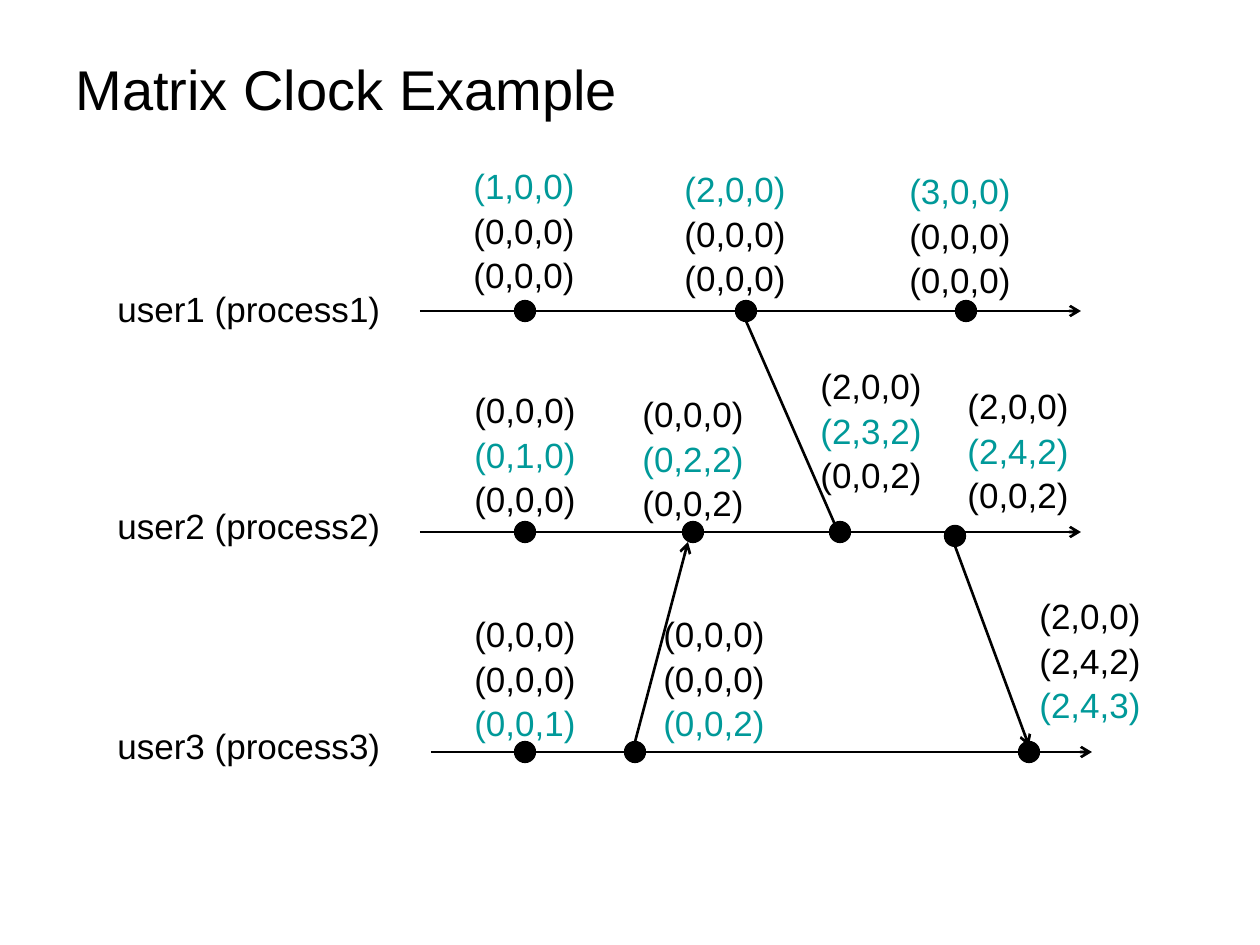
import pptx
import pptx.dml.color
import pptx.enum.shapes
import pptx.enum.text
import pptx.oxml.ns
import pptx.util
from lxml import etree

SCALE = 914400 / 126
BLACK = pptx.dml.color.RGBColor(0x00, 0x00, 0x00)
TEAL = pptx.dml.color.RGBColor(0x00, 0x99, 0x99)
MID = pptx.enum.text.MSO_ANCHOR.MIDDLE
LEFT = pptx.enum.text.PP_ALIGN.LEFT
FIXED = pptx.enum.text.MSO_AUTO_SIZE.NONE
GROW = pptx.enum.text.MSO_AUTO_SIZE.SHAPE_TO_FIT_TEXT
HEAD = {"name": "Arial", "size": pptx.util.Pt(32), "bold": False}
BODY = {"name": "Arial", "size": pptx.util.Pt(20)}
OPEN = {"word_wrap": False, "auto_size": GROW}
TIGHT = {"line_spacing": 0.75}
GAP = {"space_before": pptx.util.Pt(7.5)}
AXIS = 170
SPAN = 661
DOT = 21

LANES = [
    ("user1 (process1)", (105, 141, 1050, 181), 140, 315,
     [(420, 170), (641, 170), (861, 170)],
     [(356, 27, "(1,0,0) (0,0,0) (0,0,0)"),
      (567, 30, "(2,0,0) (0,0,0) (0,0,0)"),
      (792, 32, "(3,0,0) (0,0,0) (0,0,0)")]),
    ("user2 (process2)", (105, 362, 1050, 181), 136, 315,
     [(420, 170), (588, 170), (735, 170), (850, 174)],
     [(357, 30, "(0,0,0) (0,1,0) (0,0,0)"),
      (525, 34, "(0,0,0) (0,2,2) (0,0,2)"),
      (703, 6, "(2,0,0) (2,3,2) (0,0,2)"),
      (850, 26, "(2,0,0) (2,4,2) (0,0,2)")]),
    ("user3 (process3)", (105, 582, 1050, 181), 136, 326,
     [(420, 170), (530, 170), (924, 170)],
     [(357, 34, "(0,0,0) (0,0,0) (0,0,1)"),
      (546, 34, "(0,0,0) (0,0,0) (0,0,2)"),
      (922, 16, "(2,0,0) (2,4,2) (2,4,3)")]),
]
SENDS = [(641, 180, 735, 395), (530, 601, 583, 401), (850, 405, 924, 605)]


def emu(*vals):
    """Turn px into EMU."""
    return [round(val * SCALE) for val in vals]


def style(item, form):
    """Set every value of a format on an item."""
    for key, val in form.items():
        setattr(item, key, val)


def write(para, text, form, hue):
    """Put text with font values into a paragraph."""
    para.text = text
    style(para.font, form)
    para.font.color.rgb = hue


def title(slide, box, text):
    """Place the title in its box."""
    shape = slide.shapes.title
    style(shape, dict(zip(("left", "top", "width", "height"), emu(*box))))
    frame = shape.text_frame
    style(frame, {"vertical_anchor": MID, "word_wrap": True, "auto_size": FIXED})
    frame.paragraphs[0].alignment = LEFT
    write(frame.paragraphs[0], text, HEAD, BLACK)


def note(slide, box, rows, hues, form):
    """Write rows of text, each in its own hue."""
    frame = slide.shapes.add_textbox(*emu(*box)).text_frame
    style(frame, OPEN)
    for num, (row, hue) in enumerate(zip(rows, hues)):
        para = frame.add_paragraph() if num else frame.paragraphs[0]
        style(para, {**form, **GAP} if num else form)
        write(para, row, BODY, hue)


def arrow(slide, ends):
    """Draw a line with an open arrowhead."""
    kind = pptx.enum.shapes.MSO_CONNECTOR.STRAIGHT
    link = slide.shapes.add_connector(kind, *emu(*ends))
    link.line.color.rgb = BLACK
    link.line.width = pptx.util.Pt(1.5)
    qn = pptx.oxml.ns.qn
    prop = link._element.spPr
    etree.SubElement(prop.find(qn("a:ln")), qn("a:tailEnd"), type="arrow")
    etree.SubElement(prop, qn("a:effectLst"))


def event(slide, x, y):
    """Draw an event dot centred on a point."""
    kind = pptx.enum.shapes.MSO_SHAPE.OVAL
    dot = slide.shapes.add_shape(kind, *emu(x - DOT / 2, y - DOT / 2, DOT, DOT))
    dot.shadow.inherit = False
    dot.fill.solid()
    dot.fill.fore_color.rgb = BLACK
    dot.line.color.rgb = BLACK
    dot.line.width = pptx.util.Pt(0.75)


def lane(slide, box, own, name, drop, start, dots, clocks):
    """Draw a process with its axis, events and clocks."""
    left, top = box[:2]
    note(slide, (left, top + drop, 290, 54), [name], [BLACK], {})
    x, y = left + start, top + AXIS
    arrow(slide, (x, y, x + SPAN, y))
    for x, y in dots:
        event(slide, left + x, top + y)
    hues = [TEAL if num == own else BLACK for num in range(len(LANES))]
    for x, y, rows in clocks:
        note(slide, (left + x, top + y, 127, 134), rows.split(), hues, TIGHT)


def sends(slide, box, links):
    """Draw the messages between processes."""
    left, top = box[:2]
    for x, y, end, foot in links:
        arrow(slide, (left + x, top + y, left + end, top + foot))


def main():
    """Build and save the slide."""
    deck = pptx.Presentation()
    deck.slide_width, deck.slide_height = emu(1260, 945)
    slide = deck.slides.add_slide(deck.slide_layouts[5])
    title(slide, (63, 38, 1134, 100), "Matrix Clock Example")
    for own, (name, box, drop, start, dots, clocks) in enumerate(LANES):
        lane(slide, box, own, name, drop, start, dots, clocks)
    sends(slide, (105, 141, 1050, 622), SENDS)
    deck.save("out.pptx")


if __name__ == "__main__":
    main()
